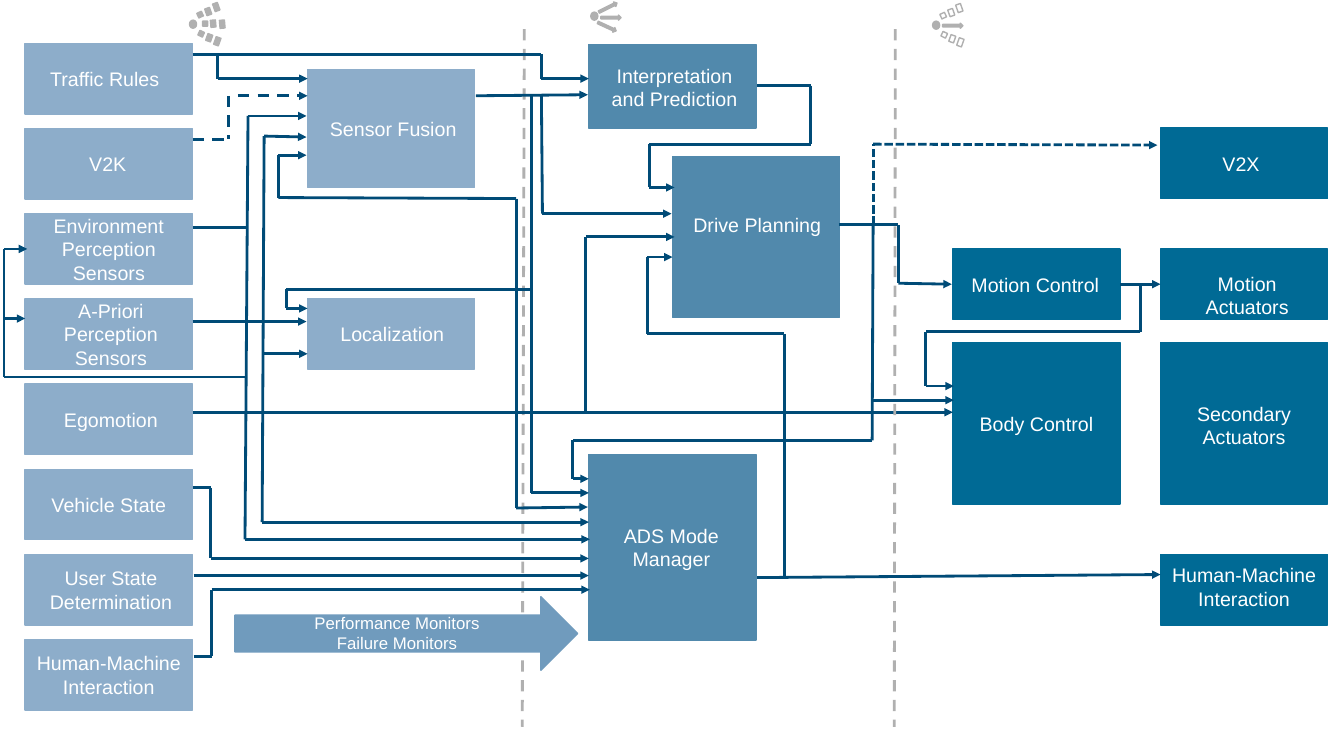
import pptx
import pptx.util
import pptx.dml.color
import pptx.enum.shapes
import pptx.enum.text
import lxml.etree

inch = pptx.util.Inches
shade = pptx.dml.color.RGBColor.from_string
kinds = pptx.enum.shapes.MSO_SHAPE
space = "{http://schemas.openxmlformats.org/drawingml/2006/main}"
pale, mid, deep = "8DADCA", "5189AC", "006A95"
navy, gray = "004B77", "B0B0B0"

deck = pptx.Presentation()
deck.slide_width = inch(13.33)
deck.slide_height = inch(7.5)
page = deck.slides.add_slide(deck.slide_layouts[6])


def draw(kind, left, top, wide, high, text="", home=page, fill=gray, edge=gray,
         turn=0, size=14, side=0.1, dx=0, dy=0):
    shape = home.shapes.add_shape(kind, inch(left), inch(top), inch(wide), inch(high))
    shape.shadow.inherit = False
    shape.rotation = turn
    shape.line.color.rgb = shade(edge)
    shape.line.width = pptx.util.Pt(1)
    if fill:
        shape.fill.solid()
        shape.fill.fore_color.rgb = shade(fill)
    else:
        shape.fill.background()
    if text:
        frame = shape.text_frame
        frame.word_wrap = True
        frame.vertical_anchor = pptx.enum.text.MSO_ANCHOR.MIDDLE
        frame.margin_left = inch(side + max(0, 2 * dx))
        frame.margin_right = inch(side + max(0, -2 * dx))
        frame.margin_top = inch(max(0, 2 * dy))
        frame.margin_bottom = inch(max(0, -2 * dy))
        frame.text = text
        for line in frame.paragraphs:
            line.alignment = pptx.enum.text.PP_ALIGN.CENTER
            font = line.runs[0].font
            font.name = "Arial"
            font.size = pptx.util.Pt(size)
            font.color.rgb = shade("FFFFFF")


def wire(spots, color=navy, dash=None, head=True):
    pairs = list(zip(spots, spots[1:]))
    for step, (start, end) in enumerate(pairs, 1):
        line = page.shapes.add_connector(
            pptx.enum.shapes.MSO_CONNECTOR.STRAIGHT, *map(inch, start + end))
        line.line.color.rgb = shade(color)
        line.line.width = pptx.util.Pt(2)
        props = line._element.spPr
        stroke = props.find(space + "ln")
        if dash:
            lxml.etree.SubElement(stroke, space + "prstDash", val=dash)
        if head and step == len(pairs):
            lxml.etree.SubElement(stroke, space + "tailEnd", type="triangle")
        lxml.etree.SubElement(props, space + "effectLst")


wire([(5.2, 0.29), (5.18, 7.21)], color=gray, dash="dash", head=False)

inputs = [
    ("Traffic Rules", -0.04), ("V2K", -0.01),
    ("Environment Perception Sensors", 0), ("A-Priori Perception Sensors", 0.02),
    ("Egomotion", 0.02), ("Vehicle State", 0),
    ("User State Determination", 0.02), ("Human-Machine Interaction", 0),
]
for row, (name, dx) in enumerate(inputs):
    draw(kinds.RECTANGLE, 0.25, 0.43 + 0.845 * row, 1.66, 0.7, name,
         fill=pale, edge=pale, dx=dx)

blocks = [
    ("Sensor Fusion", 3.05, 0.69, 1.17, pale, 0.02, 0),
    ("Localization", 3.05, 2.96, 0.7, pale, 0.01, 0),
    ("ADS Mode Manager", 5.84, 4.51, 1.84, mid, -0.01, 0),
    ("Interpretation and Prediction", 5.84, 0.44, 0.83, mid, 0.02, 0.01),
    ("Drive Planning", 6.67, 1.55, 1.6, mid, 0.01, -0.12),
    ("Body Control", 9.45, 3.4, 1.6, deep, 0, 0),
    ("Secondary Actuators", 11.51, 3.4, 1.6, deep, 0, 0.02),
    ("Motion Control", 9.45, 2.47, 0.7, deep, -0.01, 0),
    ("Motion Actuators", 11.51, 2.47, 0.7, deep, 0.03, 0.11),
    ("Human-Machine Interaction", 11.51, 5.5, 0.7, deep, 0, -0.03),
    ("V2X", 11.51, 1.27, 0.7, deep, -0.03, 0),
]
for name, left, top, high, tone, dx, dy in blocks:
    draw(kinds.RECTANGLE, left, top, 1.66, high, name, fill=tone, edge=tone, dx=dx, dy=dy)

routes = [
    [(1.91, 0.54), (5.37, 0.54), (5.37, 0.78), (5.84, 0.78)],
    [(2.16, 0.54), (2.16, 0.78), (3.05, 0.78)],
    [(2.43, 5.35), (2.46, 1.15), (3.04, 1.15)],
    [(1.91, 3.19), (3.04, 3.19)],
    [(1.91, 4.09), (9.45, 4.09)],
    [(1.91, 4.84), (2.09, 4.84), (2.09, 5.54), (5.84, 5.54)],
    [(1.92, 5.71), (5.84, 5.71)],
    [(1.92, 6.51), (2.1, 6.51), (2.1, 5.85), (5.85, 5.85)],
    [(2.43, 5.35), (5.85, 5.35)],
    [(2.6, 5.18), (2.62, 1.35), (3.04, 1.36)],
    [(2.6, 5.18), (5.84, 5.18)],
    [(4.72, 0.95), (5.83, 0.94)],
    [(5.27, 0.95), (5.27, 4.89), (5.84, 4.89)],
    [(5.37, 0.95), (5.38, 2.12), (6.66, 2.12)],
    [(7.51, 0.85), (8.04, 0.85), (8.04, 1.43), (6.44, 1.43), (6.44, 1.86), (6.69, 1.86)],
    [(7.78, 5.72), (7.78, 3.31), (6.42, 3.31), (6.42, 2.55), (6.67, 2.55)],
    [(5.81, 4.09), (5.81, 2.35), (6.69, 2.35)],
    [(2.76, 1.96), (2.76, 1.54), (3.04, 1.54)],
    [(2.76, 1.96), (5.12, 1.97), (5.12, 5.04), (5.83, 5.03)],
    [(5.27, 2.87), (2.84, 2.87), (2.84, 3.06), (3.05, 3.06)],
    [(2.62, 3.51), (3.05, 3.51)],
    [(7.51, 5.73), (11.51, 5.7)],
    [(8.66, 2.23), (8.65, 4.37), (5.68, 4.37), (5.68, 4.75), (5.84, 4.75)],
    [(8.32, 2.23), (8.91, 2.23), (8.91, 2.81), (9.44, 2.82)],
    [(11.11, 2.82), (11.51, 2.82)],
    [(11.31, 2.82), (11.31, 3.29), (9.18, 3.29), (9.18, 3.83), (9.46, 3.83)],
    [(8.66, 3.97), (9.46, 3.97)],
    [(2.45, 3.74), (0.04, 3.74), (0.04, 2.47), (0.27, 2.47)],
    [(0.04, 3.16), (0.25, 3.16)],
]
for route in routes:
    wire(route)
wire([(1.91, 2.26), (2.45, 2.26)], head=False)
wire([(1.91, 1.38), (2.27, 1.38)], dash="dash", head=False)
wire([(2.27, 0.95), (2.27, 1.38)], dash="dash", head=False)
wire([(2.36, 0.95), (3.05, 0.95)], dash="dash")
wire([(8.66, 2.23), (8.66, 1.43), (11.48, 1.44)], dash="sysDash")

draw(kinds.RIGHT_ARROW, 2.33, 5.92, 3.4, 0.73, "Performance Monitors\nFailure Monitors",
     fill="709BBD", edge="709BBD", size=12, side=0, dy=-0.01)
wire([(8.88, 0.29), (8.87, 7.21)], color=gray, dash="dash", head=False)

high = [0.05, 0.07, 0.08]
upper = [(0.08, -0.08, 334.9), (0.16, -0.12, 340.5), (0.24, -0.17, 340.5)]
lower = [(0.09, 0.11, 25.1), (0.17, 0.14, 19.5), (0.25, 0.17, 19.5)]
level = [(0.13, 0.01, 0.5), (0.21, 0, 354.9), (0.3, 0, 354.9)]
fan = [(0.07, -0.07, 333.6), (0.06, 0.12, 24.8), (0.1, 0.03, 0)]
icons = [
    (1.88, 0.2, [upper, lower, level], [], gray),
    (5.86, 0.12, [], fan, gray),
    (9.25, 0.21, [upper, lower], [(0.1, 0.02, 0)], None),
]
for left, top, rays, darts, fill in icons:
    icon = page.shapes.add_group_shape()
    home = type("Home", (), {"shapes": icon.shapes})
    draw(kinds.OVAL, left, top, 0.07, 0.08, home=home)
    for dx, dy, turn in darts:
        draw(kinds.RIGHT_ARROW, left + dx, top + dy, 0.2, 0.05, home=home, turn=turn)
    for ray in rays:
        for (dx, dy, turn), tall in zip(ray, high):
            draw(kinds.RECTANGLE, left + dx, top + dy, 0.05, tall,
                 home=home, fill=fill, turn=turn)

deck.save("out.pptx")
